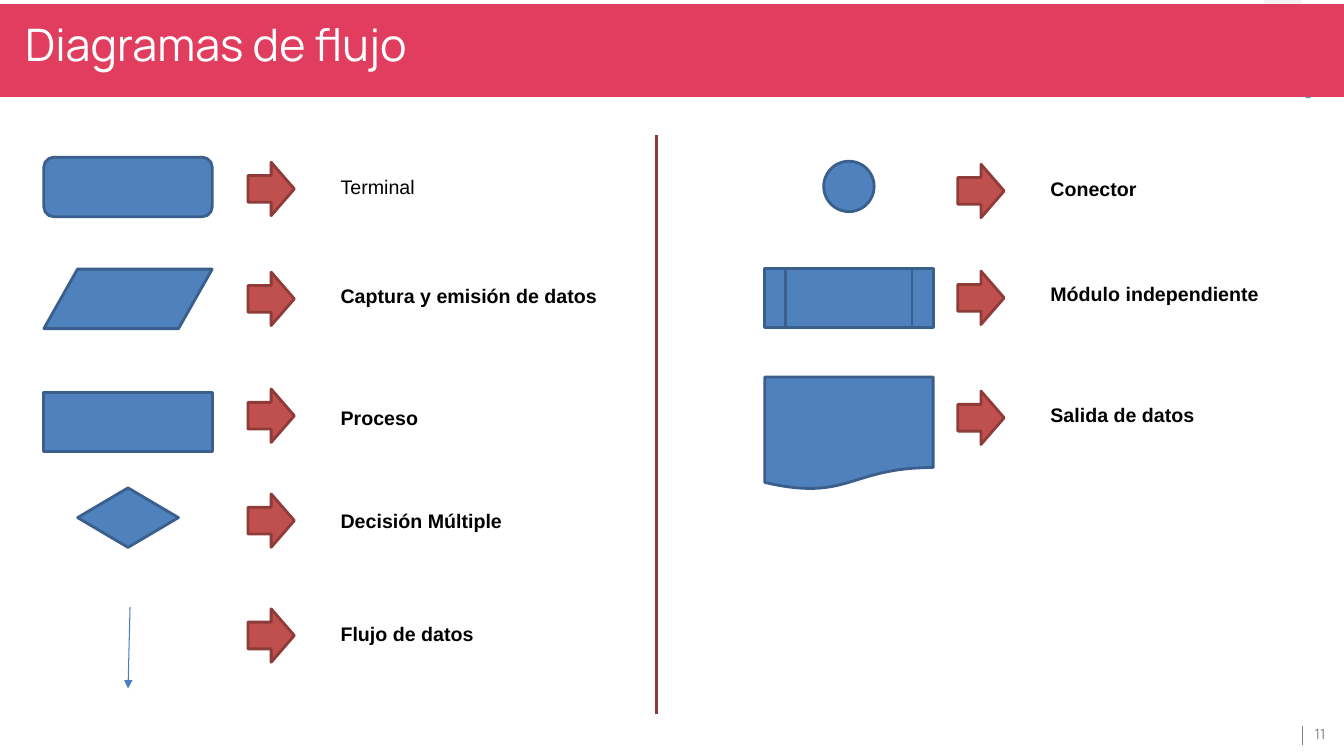
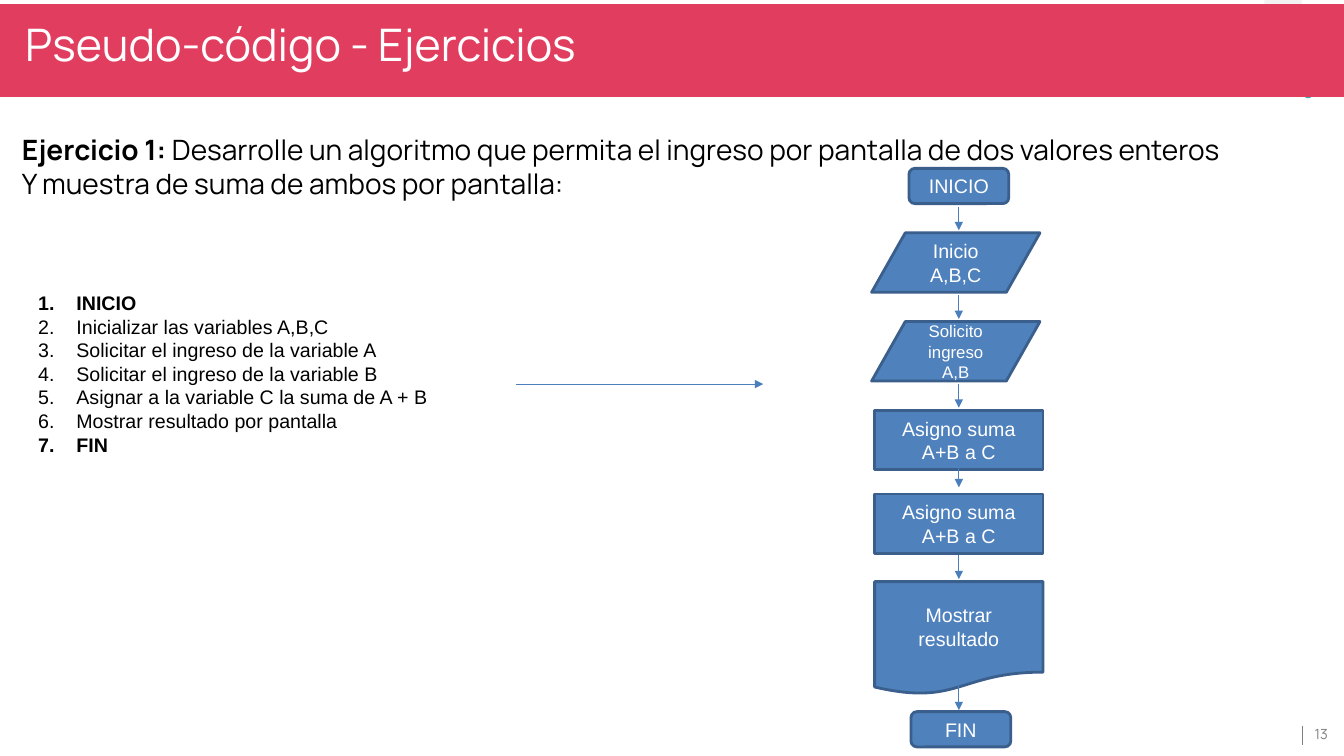
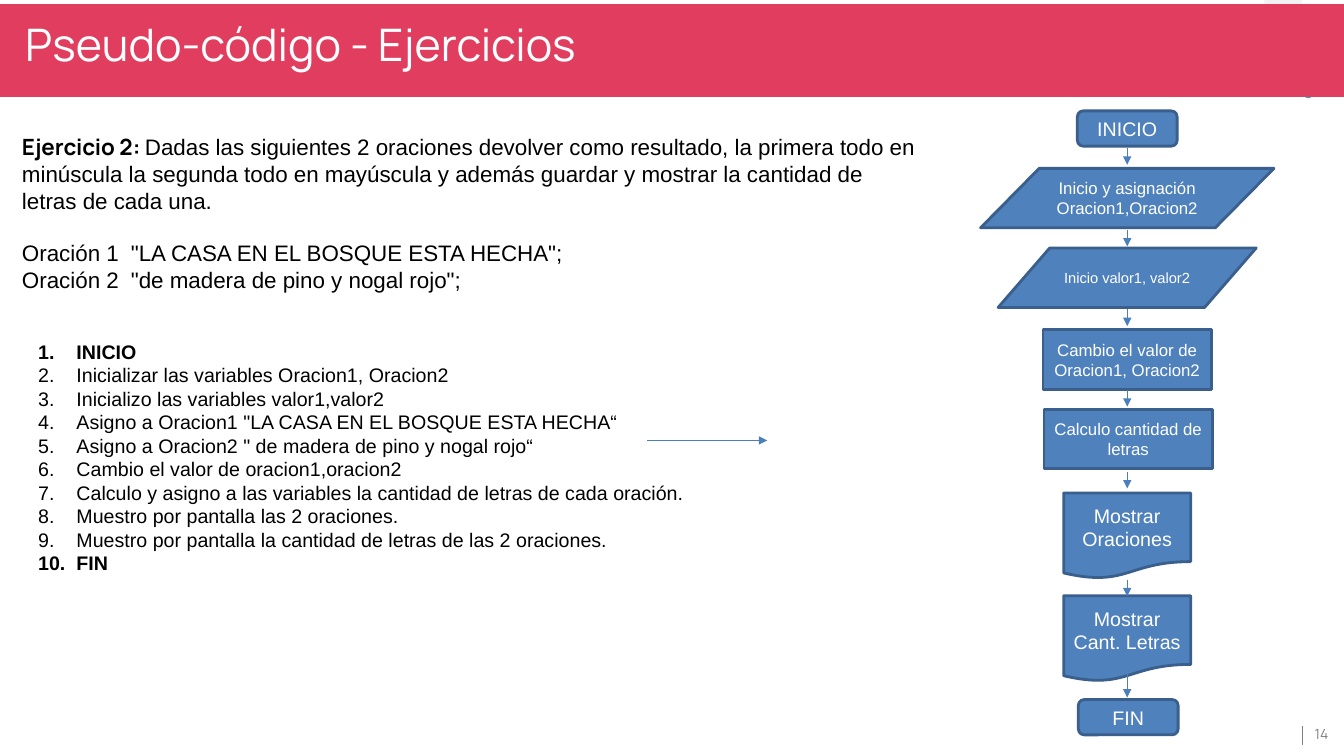
from pptx import Presentation
from pptx.dml.color import RGBColor
from pptx.enum.shapes import MSO_CONNECTOR, MSO_SHAPE
from pptx.enum.text import MSO_ANCHOR, PP_ALIGN
from pptx.oxml.ns import qn
from pptx.util import Inches, Pt
from lxml import etree

COLUMNS, ROWS = 133.3, 75
CELL = Inches(0.1)
BODY, DISPLAY = "Arial", "Manrope"
COLORS = {
    "band": "E13D5E", "white": "FFFFFF", "text": "000000", "muted": "7F7F7F",
    "symbol": "4F81BD", "symbol_edge": "3A5F8C", "flow": "4B7EBC",
    "pointer": "C0504D", "pointer_edge": "8E3B39",
    "corner": "F2F2F2", "accent": "32AAAF",
}
STRAIGHT = MSO_CONNECTOR.STRAIGHT
RECTANGLE = MSO_SHAPE.RECTANGLE
RIGHT_ARROW = MSO_SHAPE.RIGHT_ARROW
ROUND_TOP = MSO_SHAPE.ROUND_2_SAME_RECTANGLE
TOP, MIDDLE = MSO_ANCHOR.TOP, MSO_ANCHOR.MIDDLE
CENTER = PP_ALIGN.CENTER
SYMBOLS = {
    "terminal": (MSO_SHAPE.FLOWCHART_ALTERNATE_PROCESS, 16.7, 5.9),
    "data": (MSO_SHAPE.FLOWCHART_DATA, 16.7, 5.9),
    "process": (MSO_SHAPE.FLOWCHART_PROCESS, 16.7, 5.9),
    "decision": (MSO_SHAPE.FLOWCHART_DECISION, 10, 5.9),
    "connector": (MSO_SHAPE.FLOWCHART_CONNECTOR, 5, 5),
    "module": (MSO_SHAPE.FLOWCHART_PREDEFINED_PROCESS, 16.7, 5.9),
    "document": (MSO_SHAPE.FLOWCHART_DOCUMENT, 16.7, 11.2),
}
SMALL_TERMINAL = (9.9, 3.5)
SMALL_DOCUMENT = (12.6, 8.5)


def cells(*lengths):
    return [round(length * CELL) for length in lengths]


def color(name):
    return RGBColor.from_string(COLORS[name])


class SlideBuilder:
    def __init__(self):
        self.deck = Presentation()
        self.deck.slide_width, self.deck.slide_height = cells(COLUMNS, ROWS)
        self.page = None

    def start(self, title, number):
        self.page = self.deck.slides.add_slide(self.deck.slide_layouts[6])
        self.shape(RECTANGLE, 125.4, 0, 3.7, 0.4, "corner")
        accent = self.shape(ROUND_TOP, 131.1, 4.5, 0.9, 6, "accent")
        accent.adjustments[0] = 0.5
        accent.rotation = 225
        self.shape(RECTANGLE, 0, 0.4, COLUMNS, 9.2, "band")
        self.text(1.2, 0.4, 125.2, 6.4, [[(title, False, DISPLAY)]], 32, "white", inset=1.3)
        self.line((129.2, 72), (129.2, 73.9), "muted", 1)
        self.text(130, 71.4, 3.3, 2.8, [[(str(number), False, DISPLAY)]], 10,
                  "muted", inset=0.4, anchor=MIDDLE)

    def style(self, run, size, tone, bold=False, face=BODY):
        run.font.size = Pt(size)
        run.font.name = face
        run.font.bold = bold
        run.font.color.rgb = color(tone)

    def shape(self, kind, left, top, width, height, fill, edge=None):
        shape = self.page.shapes.add_shape(kind, *cells(left, top, width, height))
        shape.shadow.inherit = False
        shape.fill.solid()
        shape.fill.fore_color.rgb = color(fill)
        if edge:
            shape.line.color.rgb = color(edge)
            shape.line.width = Pt(2)
        else:
            shape.line.fill.background()
        return shape

    def symbol(self, name, center, top, text="", size=14, extent=None):
        kind, width, height = SYMBOLS[name]
        if extent:
            width, height = extent
        shape = self.shape(kind, center - width / 2, top, width, height, "symbol", "symbol_edge")
        if text:
            frame = shape.text_frame
            frame.text = text
            frame.word_wrap = True
            frame.vertical_anchor = MIDDLE
            para = frame.paragraphs[0]
            para.alignment = CENTER
            self.style(para.runs[0], size, "white")

    def line(self, start, end, tone, width, arrow=False):
        line = self.page.shapes.add_connector(STRAIGHT, *cells(*start, *end))
        line.line.color.rgb = color(tone)
        line.line.width = Pt(width)
        properties = line._element.spPr
        if arrow:
            etree.SubElement(properties.get_or_add_ln(), qn("a:tailEnd"), type="triangle")
        etree.SubElement(properties, qn("a:effectLst"))

    def flow(self, start, end):
        self.line(start, end, "flow", 0.75, arrow=True)

    def text(self, left, top, width, height, paragraphs, size, tone="text",
             inset=None, anchor=TOP):
        box = self.page.shapes.add_textbox(*cells(left, top, width, height))
        frame = box.text_frame
        frame.word_wrap = True
        frame.vertical_anchor = anchor
        if inset is not None:
            margin = round(inset * CELL)
            frame.margin_left = frame.margin_right = margin
            frame.margin_top = frame.margin_bottom = margin
        for index, spans in enumerate(paragraphs):
            para = frame.paragraphs[0] if index == 0 else frame.add_paragraph()
            for words, bold, face in spans:
                span = para.add_run()
                span.text = words
                self.style(span, size, tone, bold, face)
        return frame.paragraphs

    def steps(self, top, width, lines):
        ends = (0, len(lines) - 1)
        spans = [[(words, index in ends, BODY)] for index, words in enumerate(lines)]
        for para in self.text(2.8, top, width, 2.4 * len(lines), spans, 14):
            properties = para._p.get_or_add_pPr()
            indent = round(3.8 * CELL)
            properties.set("marL", str(indent))
            properties.set("indent", str(-indent))
            etree.SubElement(properties, qn("a:buAutoNum"), type="arabicPeriod")

    def legend(self, center, pointer_left, label_left, rows):
        for name, symbol_top, pointer_top, label_top, label, bold in rows:
            if name:
                self.symbol(name, center, symbol_top)
            self.shape(RIGHT_ARROW, pointer_left, pointer_top, 4.6, 5.3,
                       "pointer", "pointer_edge")
            self.text(label_left, label_top, 30, 3.4, [[(label, bold, BODY)]], 14)

    def flowchart(self, axis, symbols, arrows):
        for name, shift, top, text, size, extent in symbols:
            self.symbol(name, axis + shift, top, text, size, extent)
        for top, length in arrows:
            self.flow((axis, top), (axis, top + length))


def build_symbols(slides):
    slides.start("Diagramas de flujo", 11)
    slides.legend(12.7, 24.6, 32.8, [
        ("terminal", 15.6, 16.1, 16.9, "Terminal", False),
        ("data", 26.7, 27, 27.7, "Captura y emisión de datos", True),
        ("process", 38.9, 38.6, 39.8, "Proceso", True),
        ("decision", 48.4, 49, 50, "Decisión Múltiple", True),
        (None, None, 60.4, 61.2, "Flujo de datos", True),
    ])
    slides.flow((12.9, 60.2), (12.7, 68.3))
    slides.legend(84.2, 95, 103.2, [
        ("connector", 16, 16.3, 17.1, "Conector", True),
        ("module", 26.6, 26.9, 27.5, "Módulo independiente", True),
        ("document", 37.4, 38.8, 39.5, "Salida de datos", True),
    ])
    slides.line((65.1, 13.4), (65.1, 70.8), "pointer_edge", 2)


def build_sum_exercise(slides):
    slides.start("Pseudo-código - Ejercicios", 13)
    slides.text(1.2, 12.7, 130, 7.7, [
        [("Ejercicio 1:", True, DISPLAY),
         (" Desarrolle un algoritmo que permita el ingreso por pantalla de dos valores enteros",
          False, DISPLAY)],
        [("Y muestra de suma de ambos por pantalla:", False, DISPLAY)],
    ], 20)
    slides.steps(28.4, 46, [
        "INICIO",
        "Inicializar las variables A,B,C",
        "Solicitar el ingreso de la variable A",
        "Solicitar el ingreso de la variable B",
        "Asignar a la variable C la suma de A + B",
        "Mostrar resultado por pantalla",
        "FIN",
    ])
    slides.flowchart(95.1, [
        ("terminal", 0, 16.7, "INICIO", 14, SMALL_TERMINAL),
        ("data", -0.3, 23.1, "Inicio A,B,C", 14, None),
        ("data", -0.3, 31.9, "Solicito ingreso A,B", 12, None),
        ("process", 0, 40.7, "Asigno suma A+B a C", 14, None),
        ("process", 0, 49, "Asigno suma A+B a C", 14, None),
        ("document", 0, 57.7, "Mostrar resultado", 14, None),
        ("terminal", 0.2, 70.6, "FIN", 14, SMALL_TERMINAL),
    ], [(top, 2.35) for top in (20.5, 29.3, 38.1, 46, 55.1, 68.1)])
    slides.flow((51.2, 38.1), (75.7, 38.1))


def build_sentence_exercise(slides):
    slides.start("Pseudo-código - Ejercicios", 14)
    paragraphs = slides.text(1.2, 12.7, 91.4, 20.5, [
        [("Ejercicio 2: ", True, DISPLAY),
         ("Dadas las siguientes 2 oraciones devolver como resultado, la primera todo en "
          "minúscula la segunda todo en mayúscula y además guardar y mostrar la cantidad "
          "de letras de cada una.", False, BODY)],
        [('Oración 1\t"LA CASA EN EL BOSQUE ESTA HECHA";', False, BODY)],
        [('Oración 2\t"de madera de pino y nogal rojo";', False, BODY)],
    ], 16)
    for para in paragraphs[1:]:
        stops = etree.SubElement(para._p.get_or_add_pPr(), qn("a:tabLst"))
        etree.SubElement(stops, qn("a:tab"), pos=str(round(10.8 * CELL)), algn="l")
    paragraphs[1].space_before = Pt(18.5)
    slides.steps(33.2, 68.8, [
        "INICIO",
        "Inicializar las variables Oracion1, Oracion2",
        "Inicializo las variables valor1,valor2",
        'Asigno a Oracion1 "LA CASA EN EL BOSQUE ESTA HECHA“',
        'Asigno a Oracion2 " de madera de pino y nogal rojo“',
        "Cambio el valor de oracion1,oracion2",
        "Calculo y asigno a las variables la cantidad de letras de cada oración.",
        "Muestro por pantalla las 2 oraciones.",
        "Muestro por pantalla la cantidad de letras de las 2 oraciones.",
        "FIN",
    ])
    arrows = [(top, 1.65) for top in (14.7, 22.8, 30.7, 38.7, 46.8, 57.5)]
    slides.flowchart(111.8, [
        ("terminal", 0, 11, "INICIO", 14, SMALL_TERMINAL),
        ("data", 0, 16.7, "Inicio y asignación Oracion1,Oracion2", 12, (29.1, 5.9)),
        ("data", 0, 24.6, "Inicio valor1, valor2", 10.5, (25.6, 5.9)),
        ("process", 0, 32.7, "Cambio el valor de Oracion1, Oracion2", 12, None),
        ("process", 0.1, 40.6, "Calculo cantidad de letras", 12, None),
        ("document", 0, 48.9, "Mostrar Oraciones", 14, SMALL_DOCUMENT),
        ("document", 0, 59.1, "Mostrar Cant. Letras", 14, SMALL_DOCUMENT),
        ("terminal", 0.1, 69.4, "FIN", 14, SMALL_TERMINAL),
    ], arrows + [(66.9, 2.3)])
    slides.flow((64.2, 43.7), (76.1, 43.7))


def main():
    slides = SlideBuilder()
    build_symbols(slides)
    build_sum_exercise(slides)
    build_sentence_exercise(slides)
    slides.deck.save("out.pptx")


if __name__ == "__main__":
    main()
